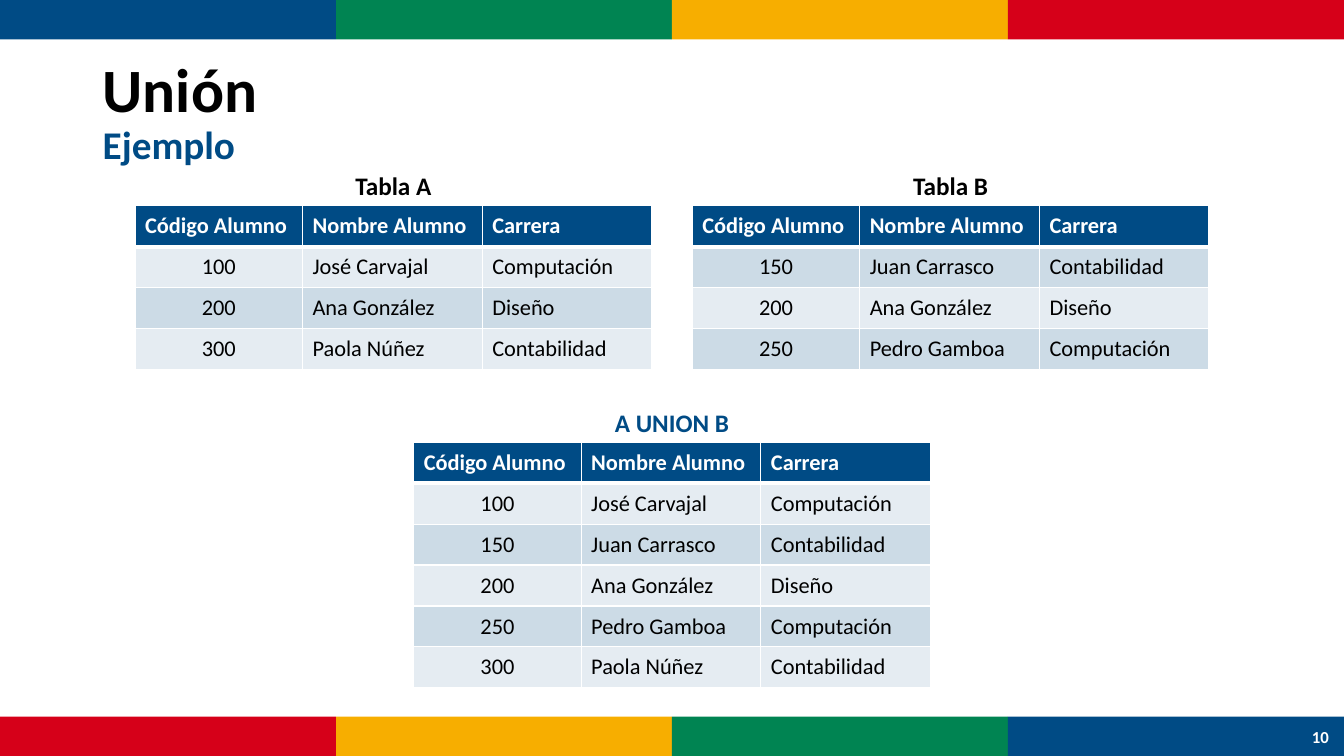
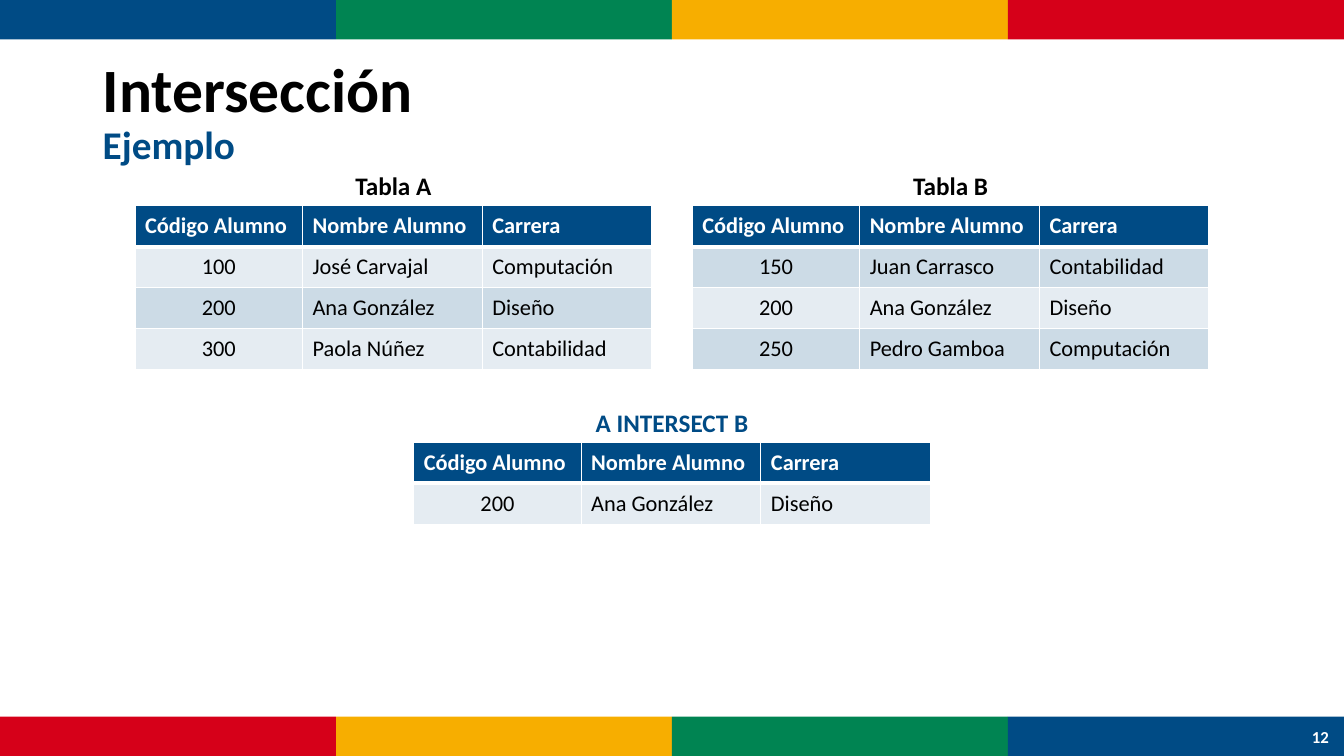
"""Build two slides that explain set operations between tables."""
from lxml import etree
from pptx import Presentation
from pptx.dml.color import RGBColor
from pptx.enum import shapes, text
from pptx.oxml import ns
from pptx.util import Pt

BLUE = RGBColor(0x00, 0x4B, 0x85)
GREEN = RGBColor(0x00, 0x84, 0x52)
YELLOW = RGBColor(0xF7, 0xAE, 0x00)
RED = RGBColor(0xD6, 0x00, 0x19)
BLACK = RGBColor(0x00, 0x00, 0x00)
WHITE = RGBColor(0xFF, 0xFF, 0xFF)

FONT = "Calibri"
SLIDE_WIDTH, SLIDE_HEIGHT = 960, 540
BAND_HEIGHT = 28.2
BAND_COLORS = (BLUE, GREEN, YELLOW, RED)
COLUMN_WIDTHS = (119.6, 128.4, 121)
TABLE_WIDTH = sum(COLUMN_WIDTHS)
ROW_HEIGHT = 29.2
CAPTION_HEIGHT = 29
SOURCE_TOP, RESULT_TOP = 147, 316
TABLE_A_LEFT, TABLE_B_LEFT = 96.5, 494.5
RESULT_LEFT = (SLIDE_WIDTH - TABLE_WIDTH) / 2
LIGHT, DARK = 10, 20

HEADER = ("Código Alumno", "Nombre Alumno", "Carrera")
TABLE_A = (
    ("100", "José Carvajal", "Computación"),
    ("200", "Ana González", "Diseño"),
    ("300", "Paola Núñez", "Contabilidad"),
)
TABLE_B = (
    ("150", "Juan Carrasco", "Contabilidad"),
    ("200", "Ana González", "Diseño"),
    ("250", "Pedro Gamboa", "Computación"),
)


def add_run(paragraph, content, *, size, color=BLACK, bold=True):
    """Add formatted text to a paragraph."""
    run = paragraph.add_run()
    run.text = content
    run.font.name = FONT
    run.font.size = Pt(size)
    run.font.bold = bold
    run.font.color.rgb = color


def add_label(slide, content, left, top, width, height, **format_options):
    """Add a centred single-line text box."""
    box = slide.shapes.add_textbox(Pt(left), Pt(top), Pt(width), Pt(height))
    frame = box.text_frame
    frame.word_wrap = True
    frame.vertical_anchor = text.MSO_ANCHOR.MIDDLE
    paragraph = frame.paragraphs[0]
    paragraph.alignment = text.PP_ALIGN.CENTER
    add_run(paragraph, content, **format_options)


def add_band(slide, top, colors):
    """Add a row of equal coloured blocks across the slide."""
    width = SLIDE_WIDTH / len(colors)
    for index, color in enumerate(colors):
        block = slide.shapes.add_shape(
            shapes.MSO_SHAPE.RECTANGLE,
            Pt(index * width), Pt(top), Pt(width), Pt(BAND_HEIGHT))
        block.shadow.inherit = False
        block.fill.solid()
        block.fill.fore_color.rgb = color
        block.line.fill.background()


def set_title(slide, title, subtitle):
    """Place the title placeholder and write its two lines."""
    shape = slide.shapes.title
    shape.left, shape.top = Pt(66.2), Pt(28.8)
    shape.width, shape.height = Pt(828), Pt(104.4)
    frame = shape.text_frame
    frame.vertical_anchor = text.MSO_ANCHOR.MIDDLE
    paragraph = frame.paragraphs[0]
    paragraph.alignment = text.PP_ALIGN.LEFT
    paragraph.line_spacing = 0.9
    add_run(paragraph, title, size=44)
    paragraph.add_line_break()
    add_run(paragraph, subtitle, size=28, color=BLUE)


def set_borders(cell, *, top=1, bottom=1):
    """Give a cell white borders of the given widths."""
    properties = cell._tc.get_or_add_tcPr()
    for side, width in (("L", 1), ("R", 1), ("T", top), ("B", bottom)):
        line = etree.SubElement(properties, ns.qn(f"a:ln{side}"), w=str(Pt(width)))
        fill = etree.SubElement(line, ns.qn("a:solidFill"))
        etree.SubElement(fill, ns.qn("a:srgbClr"), val=str(WHITE))


def set_fill(cell, opacity):
    """Fill a cell with blue at a percentage of opacity."""
    cell.fill.solid()
    cell.fill.fore_color.rgb = BLUE
    if opacity < 100:
        color = cell._tc.tcPr.find(".//" + ns.qn("a:solidFill") + "[last()]/..")
        color = cell._tc.tcPr.find(ns.qn("a:solidFill")).find(ns.qn("a:srgbClr"))
        etree.SubElement(color, ns.qn("a:alpha"), val=str(opacity * 1000))


def add_data_table(slide, caption, records, left, top, *,
                   caption_color=BLACK, stripes=(LIGHT, DARK)):
    """Add a striped table of students with its caption above."""
    add_label(slide, caption, left, top - CAPTION_HEIGHT, TABLE_WIDTH,
              CAPTION_HEIGHT, size=18, color=caption_color)
    rows = (HEADER, *records)
    table = slide.shapes.add_table(
        len(rows), len(HEADER), Pt(left), Pt(top),
        Pt(TABLE_WIDTH), Pt(ROW_HEIGHT * len(rows))).table
    for column, width in zip(table.columns, COLUMN_WIDTHS):
        column.width = Pt(width)
    for row_index, values in enumerate(rows):
        is_header = row_index == 0
        table.rows[row_index].height = Pt(ROW_HEIGHT)
        for column_index, value in enumerate(values):
            cell = table.cell(row_index, column_index)
            cell.vertical_anchor = text.MSO_ANCHOR.MIDDLE
            set_borders(cell, top=3 if row_index == 1 else 1,
                        bottom=3 if is_header else 1)
            set_fill(cell, 100 if is_header else stripes[(row_index - 1) % 2])
            paragraph = cell.text_frame.paragraphs[0]
            if column_index == 0 and not is_header:
                paragraph.alignment = text.PP_ALIGN.CENTER
            add_run(paragraph, value, size=16, bold=is_header,
                    color=WHITE if is_header else BLACK)


def add_example_slide(presentation, title, number, operation, result):
    """Add a slide with both source tables and the result of an operation."""
    slide = presentation.slides.add_slide(presentation.slide_layouts[5])
    add_band(slide, 0, BAND_COLORS)
    add_band(slide, SLIDE_HEIGHT - BAND_HEIGHT, BAND_COLORS[::-1])
    add_label(slide, number, 926.6, 512, 33.2, 28.8, size=12, color=WHITE)
    set_title(slide, title, "Ejemplo")
    add_data_table(slide, "Tabla A", TABLE_A, TABLE_A_LEFT, SOURCE_TOP)
    add_data_table(slide, "Tabla B", TABLE_B, TABLE_B_LEFT, SOURCE_TOP,
                   stripes=(DARK, LIGHT))
    add_data_table(slide, f"A {operation} B", sorted(result), RESULT_LEFT,
                   RESULT_TOP, caption_color=BLUE)


def main():
    """Build and save the presentation."""
    presentation = Presentation()
    presentation.slide_width = Pt(SLIDE_WIDTH)
    presentation.slide_height = Pt(SLIDE_HEIGHT)
    add_example_slide(presentation, "Unión", "10", "UNION",
                      set(TABLE_A) | set(TABLE_B))
    add_example_slide(presentation, "Intersección", "12", "INTERSECT",
                      set(TABLE_A) & set(TABLE_B))
    presentation.save("out.pptx")


if __name__ == "__main__":
    main()
